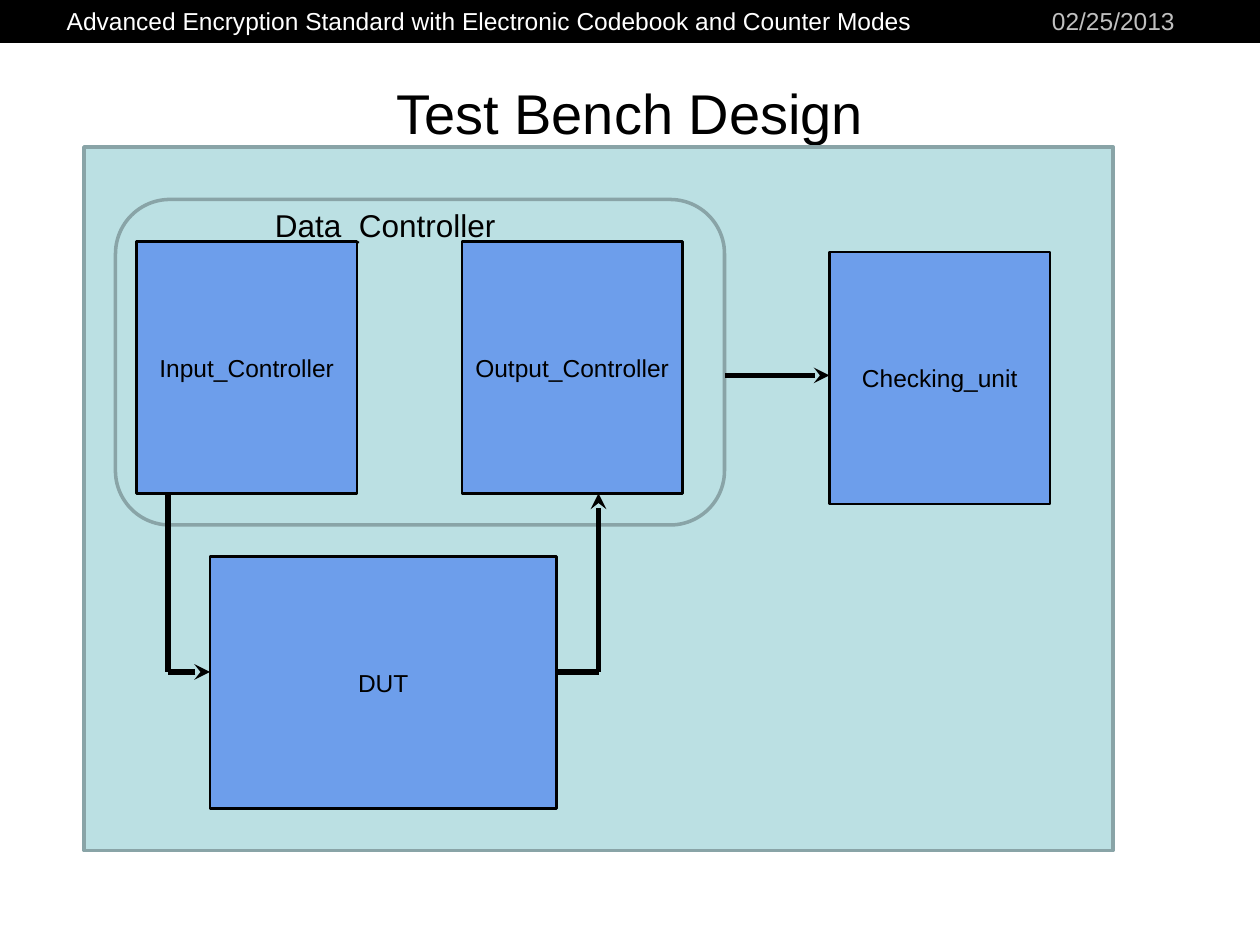
from dataclasses import dataclass
from typing import Any

from lxml import etree
from pptx import Presentation
from pptx import util as u
from pptx.dml.color import RGBColor
from pptx.enum import shapes, text
from pptx.oxml.ns import qn

PANEL, EDGE, BLOCK, BLACK = "BBE0E3", "89A4A7", "6D9EEB", "000000"
RECT = shapes.MSO_SHAPE.RECTANGLE
ROUND = shapes.MSO_SHAPE.ROUNDED_RECTANGLE
TOP, MIDDLE = text.MSO_ANCHOR.TOP, text.MSO_ANCHOR.MIDDLE
LEFT, CENTER = text.PP_ALIGN.LEFT, text.PP_ALIGN.CENTER


@dataclass(frozen=True)
class Box:
    x: float
    y: float
    w: float
    h: float
    fill: str = BLOCK
    line: str = BLACK
    weight: float = 1.5
    kind: Any = RECT
    label: str = ""


@dataclass(frozen=True)
class Label:
    x: float
    y: float
    w: float
    h: float
    words: str
    size: float = 14
    color: str = BLACK
    align: Any = LEFT
    anchor: Any = TOP
    wrap: bool = True


@dataclass(frozen=True)
class Wire:
    x1: float
    y1: float
    x2: float
    y2: float
    arrow: bool = False


def rgb(value: str) -> RGBColor:
    return RGBColor.from_string(value)


def apply(target: Any, values: dict[str, Any]) -> None:
    for name, value in values.items():
        setattr(target, name, value)


def write(tf: Any, words: str, size: float, color: str, align: Any, frame: dict[str, Any]) -> None:
    apply(tf, frame)
    p = tf.paragraphs[0]
    p.alignment = align
    r = p.add_run()
    r.text = words
    apply(r.font, {"name": "Arial", "size": u.Pt(size)})
    r.font.color.rgb = rgb(color)


def add_box(s: Any, b: Box) -> None:
    sp = s.shapes.add_shape(b.kind, *map(u.Pt, (b.x, b.y, b.w, b.h)))
    sp.shadow.inherit = False
    sp.fill.solid()
    sp.fill.fore_color.rgb = rgb(b.fill)
    sp.line.color.rgb = rgb(b.line)
    sp.line.width = u.Pt(b.weight)
    if b.label:
        sides = ("left", "top", "right", "bottom")
        frame = {f"margin_{side}": u.Pt(7.2) for side in sides}
        frame |= {"vertical_anchor": MIDDLE, "word_wrap": True}
        write(sp.text_frame, b.label, 14, BLACK, CENTER, frame)


def add_label(s: Any, t: Label) -> None:
    sp = s.shapes.add_textbox(*map(u.Pt, (t.x, t.y, t.w, t.h)))
    frame = {"word_wrap": t.wrap, "vertical_anchor": t.anchor}
    write(sp.text_frame, t.words, t.size, t.color, t.align, frame)


def add_wire(s: Any, w: Wire) -> None:
    ends = map(u.Pt, (w.x1, w.y1, w.x2, w.y2))
    sp = s.shapes.add_connector(shapes.MSO_CONNECTOR.STRAIGHT, *ends)
    sp.line.color.rgb = rgb(BLACK)
    sp.line.width = u.Pt(3)
    if w.arrow:
        ln = sp.line._get_or_add_ln()
        etree.SubElement(ln, qn("a:headEnd"), type="stealth", w="med", len="med")
    etree.SubElement(sp._element.spPr, qn("a:effectLst"))


HEADER = Box(0, 0, 720, 24, BLACK, BLACK, 0.75)
FRAMES = [
    Box(48, 84, 588, 402, PANEL, EDGE, 2),
    Box(66, 114, 348, 186, PANEL, EDGE, 2, ROUND),
]
LABELS = [
    Label(31, 0, 497.5, 24.5,
          "Advanced Encryption Standard with Electronic Codebook and Counter Modes",
          color="FFFFFF", wrap=False),
    Label(594, 0, 90, 24, "02/25/2013", color="C0C0C0"),
    Label(36, 30, 648, 68, "Test Bench Design", 32, align=CENTER, anchor=MIDDLE),
]
GROUP_LABEL = Label(150, 114, 210, 29, "Data_Controller", 18)
WIRES = [
    Wire(342, 282, 342, 384, True),
    Wire(342, 384, 318, 384),
    Wire(96, 282, 96, 384),
    Wire(120, 384, 96, 384, True),
    Wire(474, 214.5, 414, 214.5, True),
]
BLOCKS = [
    Box(78, 138, 126, 144, label="Input_Controller"),
    Box(264, 138, 126, 144, label="Output_Controller"),
    Box(474, 144, 126, 144, label="Checking_unit"),
    Box(120, 318, 198, 144, label="DUT"),
]


def main() -> None:
    prs = Presentation()
    apply(prs, {"slide_width": u.Pt(720), "slide_height": u.Pt(540)})
    s = prs.slides.add_slide(prs.slide_layouts[6])
    add_box(s, HEADER)
    for label in LABELS:
        add_label(s, label)
    for frame in FRAMES:
        add_box(s, frame)
    add_label(s, GROUP_LABEL)
    for wire in WIRES:
        add_wire(s, wire)
    for block in BLOCKS:
        add_box(s, block)
    prs.save("out.pptx")


if __name__ == "__main__":
    main()
